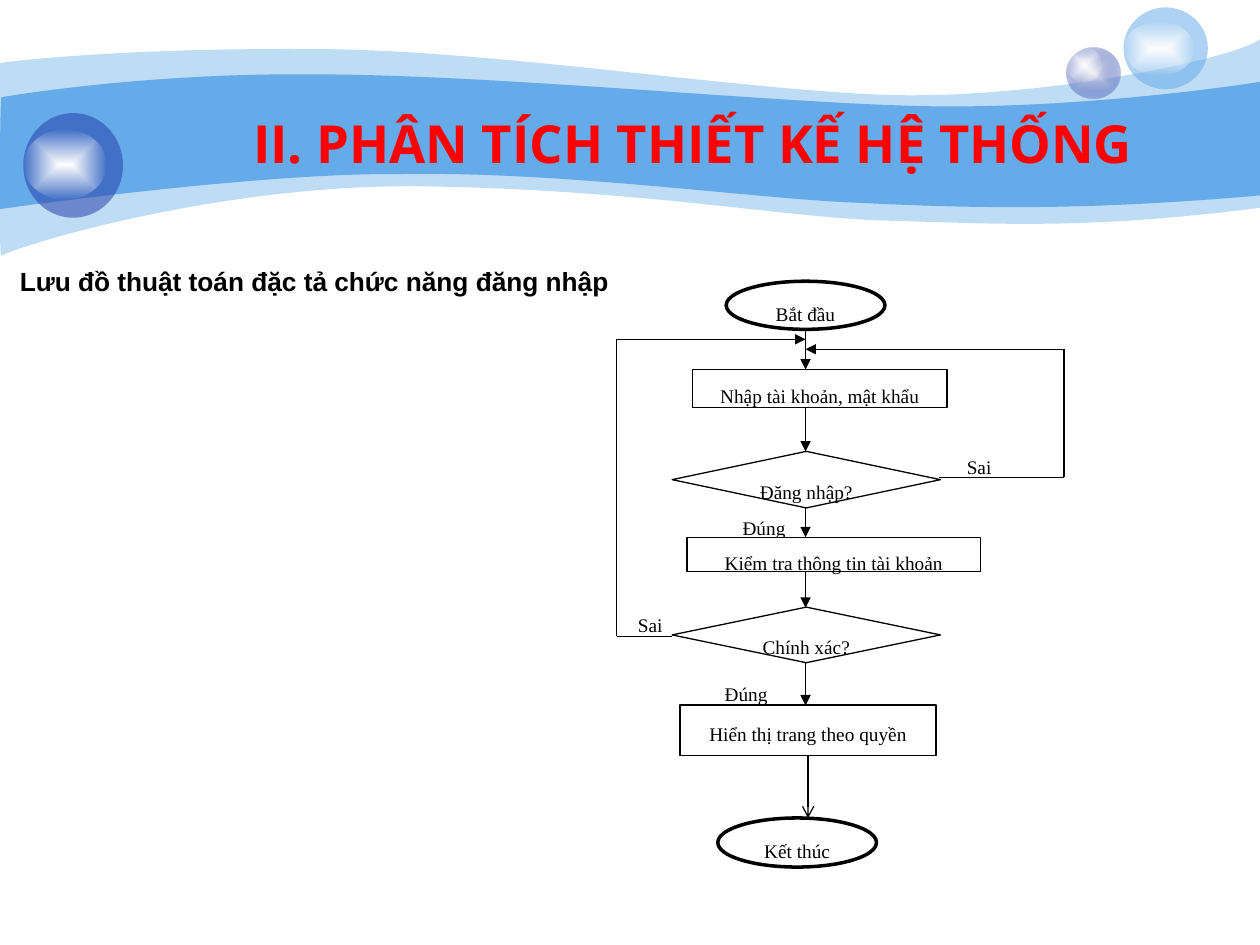
import pptx
import pptx.dml.color
import pptx.enum.shapes
import pptx.enum.text
import pptx.oxml
import pptx.oxml.ns
import pptx.util

Cm = pptx.util.Cm
Pt = pptx.util.Pt
KIND = pptx.enum.shapes.MSO_SHAPE
LINE = pptx.enum.shapes.MSO_CONNECTOR.STRAIGHT
ALIGN = pptx.enum.text.PP_ALIGN
ANCHOR = pptx.enum.text.MSO_ANCHOR

COLORS = {"sky": "65AAE9", "navy": "233DA9", "pale": "E1E2ED",
          "white": "FFFFFF", "black": "000000", "red": "FF0000"}

OUTER = [(0, 1.27),
         (0.61, 1.19, 2.72, 0.97, 6.27, 0.99),
         (9.8, 0.99, 14.61, 1.78, 17.75, 1.91),
         (20.88, 2.03, 24.89, 1.19, 25.4, 0.79),
         (25.4, 4.19),
         (21.79, 4.65, 19.99, 4.5, 17.91, 4.45),
         (15.8, 4.39, 13.08, 3.84, 8.71, 3.76),
         (4.37, 3.66, 0.1, 5.05, 0.03, 5.16),
         (-0.03, 5.28, 0, 1.9, 0, 1.27)]
INNER = [(0.03, 1.96),
         (0.05, 1.96, 2.79, 1.47, 6.3, 1.5),
         (9.8, 1.5, 15.11, 2.03, 18.24, 2.13),
         (21.36, 2.24, 24.79, 1.75, 25.4, 1.65),
         (25.4, 3.94),
         (21.67, 4.27, 19.43, 4.19, 17.32, 4.09),
         (15.21, 4.01, 11.35, 3.45, 8.05, 3.51),
         (5.16, 3.48, -0.05, 4.22, -0.03, 4.22),
         (0, 4.22, 0, 1.96, 0.03, 1.96)]


def color(name):
    return pptx.dml.color.RGBColor.from_string(COLORS[name])


def element(tag, body="", **attrs):
    pairs = "".join(f' {key}="{val}"' for key, val in attrs.items())
    space = pptx.oxml.ns.nsdecls("a")
    return pptx.oxml.parse_xml(f"<a:{tag} {space}{pairs}>{body}</a:{tag}>")


def swap(old, new):
    old.getparent().replace(old, new)


def paint(shape, fill=None, alpha=100, edge=None):
    shape.shadow.inherit = False
    if fill:
        shape.fill.solid()
        shape.fill.fore_color.rgb = color(fill)
        if alpha < 100:
            tone = shape.element.xpath("./p:spPr/a:solidFill/a:srgbClr")[0]
            tone.append(element("alpha", val=alpha * 1000))
    if edge:
        shape.line.color.rgb = color("black")
        shape.line.width = Pt(edge)
    else:
        shape.line.fill.background()


def glow(shape, *stops):
    paint(shape)
    shape.fill.background()
    marks = "".join(
        f'<a:gs pos="{spot * 1000}"><a:srgbClr val="{COLORS[name]}">'
        f'<a:alpha val="{alpha * 1000}"/></a:srgbClr></a:gs>'
        for spot, name, alpha in stops)
    center = '<a:fillToRect l="50000" t="50000" r="50000" b="50000"/>'
    body = f'<a:gsLst>{marks}</a:gsLst><a:path path="shape">{center}</a:path>'
    swap(shape.element.xpath("./p:spPr/a:noFill")[0],
         element("gradFill", body, rotWithShape=1))


def write(shape, text, size=11, font="Times New Roman", tone="black",
          bold=False, align=ALIGN.LEFT, anchor=ANCHOR.TOP,
          before=0, after=0, pitch=1, inset=0.25):
    frame = shape.text_frame
    frame.word_wrap = True
    frame.vertical_anchor = anchor
    frame.margin_left = Cm(inset)
    para = frame.paragraphs[0]
    para.alignment = align
    para.space_before, para.space_after = Pt(before), Pt(after)
    para.line_spacing = pitch
    run = para.add_run()
    run.text = text
    run.font.size = Pt(size)
    run.font.name = font
    run.font.bold = bold
    run.font.color.rgb = color(tone)


def wave(slide, box, curve, alpha):
    def place(x, y):
        return Cm(box[0] + x), Cm(box[1] + y)

    ends = [place(*part[-2:]) for part in curve]
    build = slide.shapes.build_freeform(*ends[0], scale=1.0)
    build.add_line_segments(ends[1:], close=True)
    shape = build.convert_to_shape()
    for old, part in zip(shape.element.xpath(".//a:lnTo"), curve[1:]):
        if len(part) == 6:
            spots = [place(*part[k:k + 2]) for k in (0, 2, 4)]
            body = "".join(f'<a:pt x="{x - shape.left}" y="{y - shape.top}"/>'
                           for x, y in spots)
            swap(old, element("cubicBezTo", body))
    paint(shape, "sky", alpha)


def orb(slide, box, shine, tone, alpha):
    x, y, w, h = box
    drop, wide, high = shine
    group = slide.shapes.add_group_shape().shapes
    ball = group.add_shape(KIND.OVAL, Cm(x), Cm(y), Cm(w), Cm(h))
    if tone == "pale":
        glow(ball, (0, "pale", 100), (100, "navy", alpha))
    else:
        paint(ball, tone, alpha)
    spot = group.add_shape(KIND.OVAL, Cm(x), Cm(y + drop), Cm(wide), Cm(high))
    glow(spot, (0, "white", 100), (100, "white", 0))


def banner(slide, box):
    x, y = box
    wave(slide, box, OUTER, 41)
    wave(slide, box, INNER, 100)
    for spot, shine, tone, alpha in [
            ((21.51, 0.97, 1.07, 1.02), (0, 0.71, 0.69), "pale", 31),
            ((22.65, 0.15, 1.7, 1.65), (0.28, 1.42, 1.09), "sky", 53),
            ((0.47, 2.28, 2.01, 2.11), (0.33, 1.68, 1.42), "navy", 53)]:
        orb(slide, (x + spot[0], y + spot[1], *spot[2:]), shine, tone, alpha)


def caption(slide, box, text, **style):
    write(slide.shapes.add_textbox(*map(Cm, box)), text, **style)


def link(group, box, start, end, head=None):
    spots = [Cm(a + b) for a, b in zip(box * 2, start + end)]
    line = group.add_connector(LINE, *spots)
    line.line.color.rgb = color("black")
    line.line.width = Pt(0.75)
    props = line.element.xpath("./p:spPr")[0]
    if head:
        props.xpath("./a:ln")[0].append(element("tailEnd", type=head))
    props.append(element("effectLst"))


def node(group, box, kind, spot, text, edge=0.75, gap=3, **style):
    x, y, w, h = spot
    shape = group.add_shape(kind, Cm(box[0] + x), Cm(box[1] + y), Cm(w), Cm(h))
    paint(shape, "white", edge=edge)
    write(shape, text, before=gap, after=gap, pitch=1.35, **style)


def flow(slide, box):
    group = slide.shapes.add_group_shape().shapes
    for text, x, y, w in [("Đúng", 2.29, 4.44, 1.78), ("Sai", 0.18, 6.4, 1.17),
                          ("Đúng", 1.93, 7.8, 1.57), ("Sai", 6.81, 3.23, 1.5)]:
        node(group, box, KIND.RECTANGLE, (x, y, w, 0.61), text, edge=None)
    axis = 3.81
    for top, end in [(0.97, 1.78), (2.54, 3.43), (4.47, 5.16),
                     (5.84, 6.58), (7.7, 8.55)]:
        link(group, box, (axis, top), (axis, end), "triangle")
    link(group, box, (3.86, 9.55), (3.86, 10.82), "arrow")
    for side, start, low, high in [(9.02, 6.5, 3.95, 1.37), (0, 1.12, 7.16, 1.17)]:
        link(group, box, (start, low), (side, low))
        link(group, box, (side, low), (side, high))
        link(group, box, (side, high), (axis, high), "triangle")
    for kind, spot, text, style in [
            (KIND.RECTANGLE, (1.53, 1.78, 5.13, 0.76), "Nhập tài khoản, mật khẩu", {}),
            (KIND.DIAMOND, (1.12, 3.43, 5.41, 1.14), "Đăng nhập?", {}),
            (KIND.RECTANGLE, (1.42, 5.16, 5.92, 0.69), "Kiểm tra thông tin tài khoản", {}),
            (KIND.DIAMOND, (1.12, 6.57, 5.41, 1.12), "Chính xác?", {}),
            (KIND.OVAL, (2.21, 0, 3.2, 0.97), "Bắt đầu", {"edge": 2}),
            (KIND.OVAL, (2.04, 10.82, 3.2, 0.99), "Kết thúc", {"edge": 2}),
            (KIND.RECTANGLE, (1.28, 8.54, 5.16, 1.02), "Hiển thị trang theo quyền",
             {"edge": 1, "gap": 7.2, "anchor": ANCHOR.MIDDLE})]:
        node(group, box, kind, spot, text, align=ALIGN.CENTER, **style)


deck = pptx.Presentation()
deck.slide_width, deck.slide_height = Cm(25.4), Cm(19.05)
page = deck.slides.add_slide(deck.slide_layouts[6])
banner(page, (0, 0))
caption(page, (0, 5.23, 13.28, 0.89), "Lưu đồ thuật toán đặc tả chức năng đăng nhập",
        size=15, font="Arial", bold=True, before=3, inset=0.4)
flow(page, (12.43, 5.67))
caption(page, (1.27, 2.11, 25.4, 1.55), "II. PHÂN TÍCH THIẾT KẾ HỆ THỐNG",
        size=30, font="Open Sans", tone="red", bold=True, align=ALIGN.CENTER)
deck.save("out.pptx")
